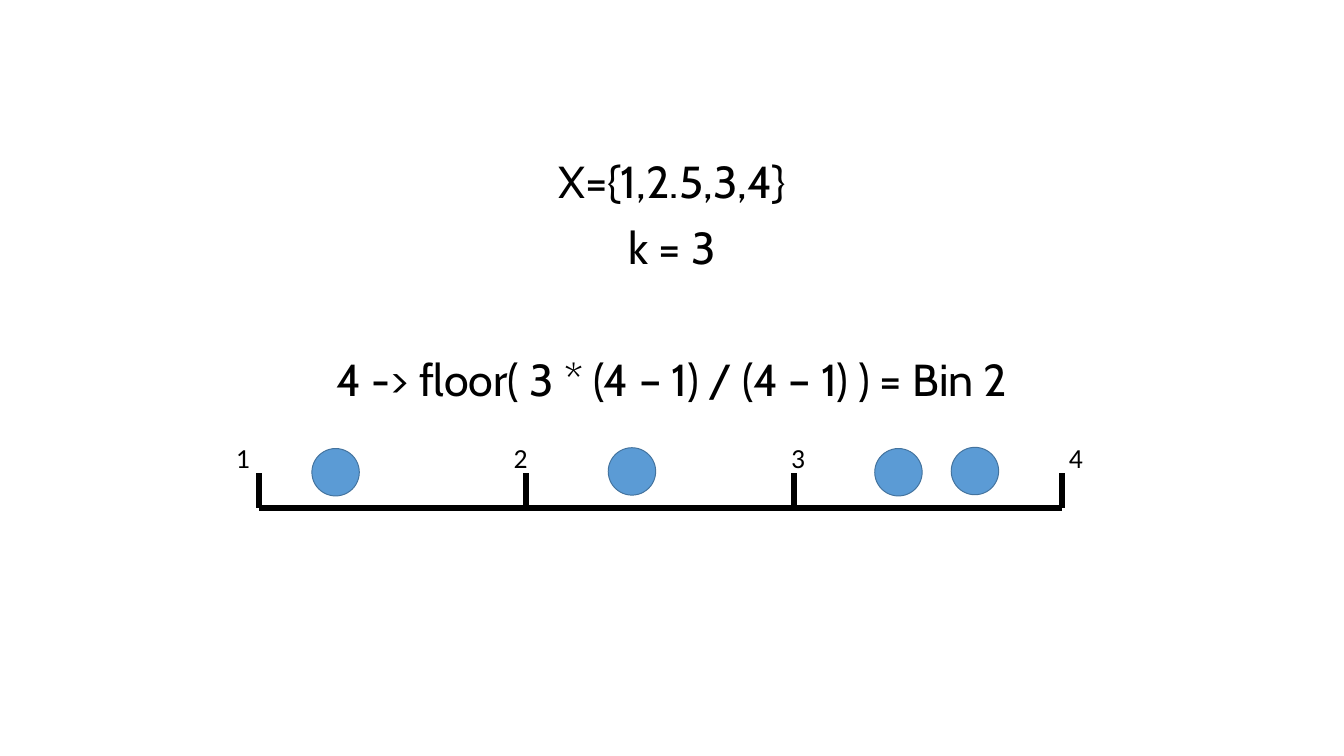
from lxml.etree import SubElement
from pptx import Presentation
from pptx.dml.color import RGBColor
from pptx.enum.shapes import MSO_CONNECTOR, MSO_SHAPE
from pptx.enum.text import MSO_ANCHOR, PP_ALIGN
from pptx.oxml.ns import qn
from pptx.util import Pt

COLORS = {"ink": "000000", "dot": "5B9BD5", "edge": "43739E"}

deck = Presentation()
deck.slide_width, deck.slide_height = Pt(1365.12), Pt(768.24)
slide = deck.slides.add_slide(deck.slide_layouts[6])
shapes = slide.shapes


def color(name):
    """Return the named colour."""
    return RGBColor.from_string(COLORS[name])


def add_line(x1, y1, x2, y2):
    """Draw one thick stroke of the number line."""
    line = shapes.add_connector(
        MSO_CONNECTOR.STRAIGHT, Pt(x1), Pt(y1), Pt(x2), Pt(y2))
    line.line.color.rgb = color("ink")
    line.line.width = Pt(6)
    SubElement(line._element.spPr, qn("a:effectLst"))


# Formula: each line with the space above it
steps = [
    ("X={1,2.5,3,4}", 0),
    ("k = 3", 18),
    ("4 -> floor( 3 * (4 – 1) / (4 – 1) ) = Bin 2", 85.7),
]
frame = shapes.add_textbox(Pt(73.4), Pt(162), Pt(1218.2), Pt(256)).text_frame
frame.word_wrap = True
frame.vertical_anchor = MSO_ANCHOR.TOP
frame.margin_top = frame.margin_bottom = 0
for i, (text, gap) in enumerate(steps):
    para = frame.add_paragraph() if i else frame.paragraphs[0]
    para.text = text
    para.alignment = PP_ALIGN.CENTER
    para.line_spacing = 0.9
    para.space_before = Pt(gap)
    para.font.name = "Cabin"
    para.font.size = Pt(45.5)
    para.font.color.rgb = color("ink")

# Number line with its ticks and labels
left, base, tick, step = 262.8, 516.2, 36, 271.9
add_line(left, base, left + 3 * step, base)
for i in range(4):
    x = left + i * step
    add_line(x, base, x, base - tick)
    label = shapes.add_textbox(
        Pt(232.6 + 282 * i), Pt(444.2), Pt(28.8), Pt(41)).text_frame
    label.word_wrap = False
    para = label.paragraphs[0]
    para.text = str(i + 1)
    para.font.name = "Calibri"
    para.font.size = Pt(28)
    para.font.color.rgb = color("ink")

# Values in their bins
for x, y in [(316.8, 455.8), (617.8, 455), (888.5, 455.8), (966.2, 454.6)]:
    dot = shapes.add_shape(MSO_SHAPE.OVAL, Pt(x), Pt(y), Pt(48.2), Pt(48.2))
    dot.shadow.inherit = False
    dot.fill.solid()
    dot.fill.fore_color.rgb = color("dot")
    dot.line.color.rgb = color("edge")
    dot.line.width = Pt(1)

deck.save("out.pptx")
